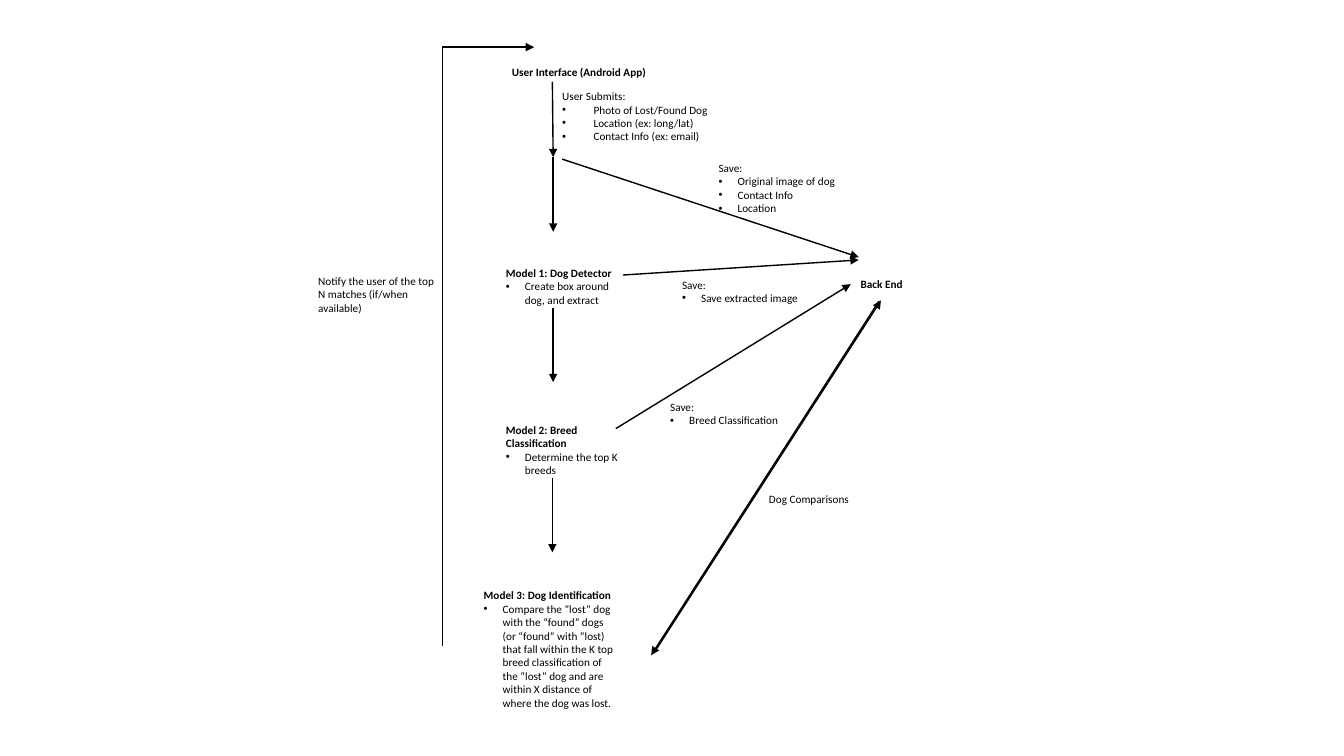
from lxml import etree
from pptx import Presentation
from pptx import util as u
from pptx.dml.color import RGBColor
from pptx.enum import shapes, text
from pptx.oxml import ns

BLACK = RGBColor(0x00, 0x00, 0x00)
LABEL_WIDTH = 5.77
STEP_X = 13.94      # the vertical flow through the models
STEP_LENGTH = 1.88
SHORT_INDENT, LONG_INDENT = 0.48, 0.79


class FlowSlide:
    """Draws labels and arrows in one style on one slide; lengths in cm."""

    font = {"name": "Calibri", "size": u.Pt(8)}
    frame = {"word_wrap": True, "auto_size": text.MSO_AUTO_SIZE.SHAPE_TO_FIT_TEXT}
    line_height, padding = 0.34, 0.25

    def __init__(self, slide):
        self.slide = slide

    def label(self, left, top, title, bullets=(), lines=None, width=LABEL_WIDTH,
              bold=False, indent=SHORT_INDENT):
        height = (lines or 1 + len(bullets)) * self.line_height + self.padding
        box = self.slide.shapes.add_textbox(u.Cm(left), u.Cm(top), u.Cm(width), u.Cm(height))
        for key, value in self.frame.items():
            setattr(box.text_frame, key, value)
        self.add_wording(box.text_frame.paragraphs[0], title, bold)
        for bullet in bullets:
            item = box.text_frame.add_paragraph()
            self.add_bullet(item, indent)
            self.add_wording(item, bullet, False)

    def add_bullet(self, item, indent):
        props = item._p.get_or_add_pPr()
        props.set("marL", str(u.Cm(indent)))
        props.set("indent", str(-u.Cm(indent)))
        etree.SubElement(props, ns.qn("a:buFont")).set("typeface", "Arial")
        etree.SubElement(props, ns.qn("a:buChar")).set("char", "•")

    def add_wording(self, paragraph, wording, bold):
        run = paragraph.add_run()
        run.text = wording
        for key, value in {**self.font, "bold": bold}.items():
            setattr(run.font, key, value)
        run.font.color.rgb = BLACK

    def arrow(self, start, end, kind=shapes.MSO_CONNECTOR.STRAIGHT):
        link = self.slide.shapes.add_connector(kind, *map(u.Cm, (*start, *end)))
        link.line.color.rgb = BLACK
        link.line.width = u.Pt(1)
        outline = link._element.spPr.find(ns.qn("a:ln"))
        etree.SubElement(outline, ns.qn("a:tailEnd")).set("type", "triangle")
        etree.SubElement(link._element.spPr, ns.qn("a:effectLst"))
        return link

    def corner_arrow(self, start, end):
        """Goes up from start, then right to end: one bend, turned by 90 degrees."""
        mid_x, mid_y = (start[0] + end[0]) / 2, (start[1] + end[1]) / 2
        half_run, half_rise = (end[0] - start[0]) / 2, (start[1] - end[1]) / 2
        link = self.arrow((mid_x + half_rise, mid_y + half_run),
                          (mid_x - half_rise, mid_y - half_run), shapes.MSO_CONNECTOR.ELBOW)
        props = link._element.spPr
        props.find(ns.qn("a:xfrm")).set("rot", str(90 * 60000))
        props.find(ns.qn("a:prstGeom")).set("prst", "bentConnector2")


def main():
    deck = Presentation()
    deck.slide_width, deck.slide_height = u.Cm(33.87), u.Cm(19.05)
    flow = FlowSlide(deck.slides.add_slide(deck.slide_layouts[6]))

    # User interface and what is submitted
    flow.label(12.65, 1.52, "User Interface (Android App)", bold=True)
    flow.label(13.92, 2.13, "User Submits:",
               ["Photo of Lost/Found Dog", "Location (ex: long/lat)", "Contact Info (ex: email)"],
               indent=LONG_INDENT)
    flow.arrow((13.92, 2.06), (STEP_X, 3.96))

    # Models
    flow.label(12.5, 6.58, "Model 1: Dog Detector", ["Create box around dog, and extract"],
               lines=3, width=3.58, bold=True)
    flow.label(12.5, 10.54, "Model 2: Breed Classification", ["Determine the top K breeds"],
               lines=4, width=3.76, bold=True)
    flow.label(11.94, 14.71, "Model 3: Dog Identification",
               ["Compare the “lost” dog with the “found” dogs (or “found” with “lost) that fall "
                "within the K top breed classification of the “lost” dog and are within X "
                "distance of where the dog was lost."],
               lines=9, width=3.86, bold=True)
    for step_x, step_top in ((STEP_X, 3.96), (STEP_X, 7.75), (13.92, 12.04)):
        flow.arrow((step_x, step_top), (step_x, step_top + STEP_LENGTH))

    # Back end and what is saved there
    flow.label(21.44, 6.86, "Back End", bold=True)
    flow.label(17.86, 3.94, "Save:", ["Original image of dog", "Contact Info", "Location"])
    flow.label(16.94, 6.88, "Save:", ["Save extracted image"])
    flow.label(16.64, 9.96, "Save:", ["Breed Classification"])
    for source, back_end in (((14.17, 4.01), (21.64, 6.48)),
                             ((15.7, 6.93), (21.64, 6.55)),
                             ((15.52, 10.8), (21.44, 7.16))):
        flow.arrow(source, back_end)

    # Comparisons, both ways
    flow.label(19.13, 12.27, "Dog Comparisons")
    flow.arrow((16.54, 16.36), (22.2, 7.57))
    flow.arrow((22.15, 7.59), (16.41, 16.51))

    # Notification back to the user
    flow.label(7.77, 6.78, "Notify the user of the top N matches (if/when available)",
               lines=3, width=3.58)
    flow.corner_arrow((11.15, 16.28), (13.46, 1.19))

    deck.save("out.pptx")


if __name__ == "__main__":
    main()
